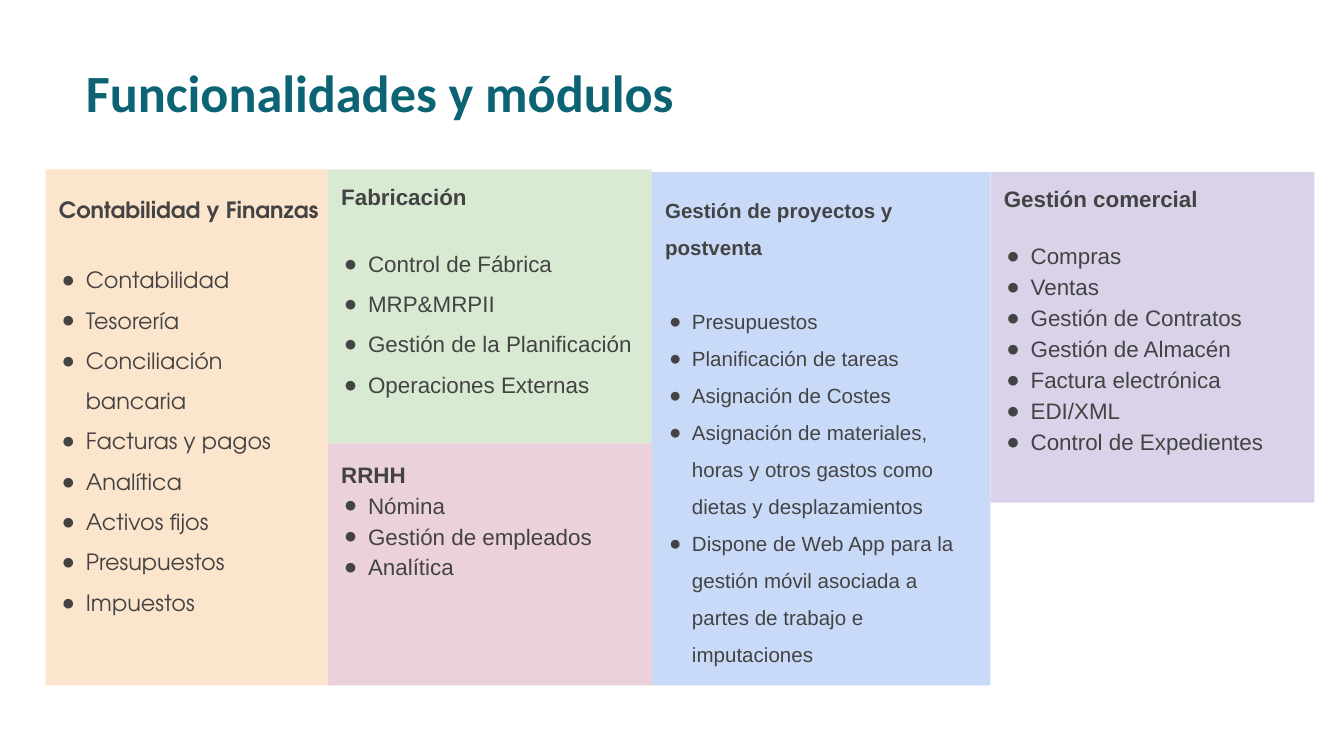
from lxml.etree import SubElement
from pptx import Presentation
from pptx.dml.color import RGBColor
from pptx.enum.shapes import MSO_SHAPE
from pptx.enum.text import MSO_ANCHOR, PP_ALIGN
from pptx.oxml.ns import qn
from pptx.util import Inches, Pt

WIDTH = 10
HEIGHT = WIDTH * 9 / 16
INSET = 0.1
INK = "434343"
COLUMNS = [0.34, 2.44, 4.85, 7.37, 9.78]
TOP, SPLIT, BOTTOM = 1.26, 3.3, 5.1
LOWER_TOP = TOP + 0.02

MODULES = [
    dict(box=(COLUMNS[0], TOP, COLUMNS[1] + 0.04, BOTTOM), fill="FCE5CD",
         heading="Contabilidad y Finanzas", font="TeX Gyre Adventor",
         heading_spacing=1.5, gap=16,
         items=["Contabilidad", "Tesorería", "Conciliación bancaria",
                "Facturas y pagos", "Analítica", "Activos fijos",
                "Presupuestos", "Impuestos"]),
    dict(box=(COLUMNS[1], TOP, COLUMNS[2], SPLIT), fill="D9EAD3",
         heading="Fabricación", gap=14.4,
         items=["Control de Fábrica", "MRP&MRPII",
                "Gestión de la Planificación", "Operaciones Externas"]),
    dict(box=(COLUMNS[2], LOWER_TOP, COLUMNS[3], BOTTOM), fill="C9DAF8",
         heading="Gestión de proyectos y postventa", size=11,
         heading_spacing=1.5, gap=19.8, hang=0.17,
         items=["Presupuestos", "Planificación de tareas",
                "Asignación de Costes",
                "Asignación de materiales, horas y otros gastos como dietas "
                "y desplazamientos",
                "Dispone de Web App para la gestión móvil asociada a partes "
                "de trabajo e imputaciones"]),
    dict(box=(COLUMNS[3], LOWER_TOP, COLUMNS[4], 3.74), fill="D9D2E9",
         heading="Gestión comercial", gap=14, item_spacing=1.15,
         items=["Compras", "Ventas", "Gestión de Contratos",
                "Gestión de Almacén", "Factura electrónica", "EDI/XML",
                "Control de Expedientes"]),
    dict(box=(COLUMNS[1], SPLIT, COLUMNS[2], BOTTOM), fill="EAD1DC",
         heading="RRHH", heading_spacing=1.15, item_spacing=1.15,
         items=["Nómina", "Gestión de empleados", "Analítica"]),
]


def color(value):
    return RGBColor.from_string(value)


def prepare_frame(frame):
    frame.word_wrap = True
    frame.vertical_anchor = MSO_ANCHOR.TOP
    frame.margin_left = frame.margin_right = Inches(INSET)
    frame.margin_top = frame.margin_bottom = Inches(INSET)


def write(para, text, font, size, ink, bold):
    para.text = text
    para.alignment = PP_ALIGN.LEFT
    para.font.name = font
    para.font.size = Pt(size)
    para.font.color.rgb = color(ink)
    para.font.bold = bold


def add_bullet(para, hang):
    properties = para._p.get_or_add_pPr()
    properties.set("marL", str(Inches(0.2)))
    properties.set("indent", str(-Inches(hang)))
    bullet_color = SubElement(properties, qn("a:buClr"))
    SubElement(bullet_color, qn("a:srgbClr"), val=INK)
    SubElement(properties, qn("a:buFont"), typeface="Arial")
    SubElement(properties, qn("a:buChar"), char="●")
    properties.append(properties.find(qn("a:defRPr")))


def add_title(page, left, top, width, height):
    box = page.shapes.add_textbox(Inches(left), Inches(top), Inches(width), Inches(height))
    prepare_frame(box.text_frame)
    para = box.text_frame.paragraphs[0]
    write(para, "Funcionalidades y módulos", "Calibri", 28, "0B6374", True)
    para._p.get_or_add_pPr().set("marL", str(Inches(0.27)))


def add_module(page, box, fill, heading, items, font="Arial", size=12,
               heading_spacing=1.0, item_spacing=1.5, gap=0, hang=0.18):
    left, top, right, bottom = box
    panel = page.shapes.add_shape(MSO_SHAPE.RECTANGLE, Inches(left), Inches(top),
                                  Inches(right - left), Inches(bottom - top))
    panel.shadow.inherit = False
    panel.fill.solid()
    panel.fill.fore_color.rgb = color(fill)
    panel.line.fill.background()
    frame = panel.text_frame
    prepare_frame(frame)
    para = frame.paragraphs[0]
    write(para, heading, font, size, INK, True)
    para.line_spacing = heading_spacing
    for index, item in enumerate(items):
        para = frame.add_paragraph()
        write(para, item, font, size, INK, False)
        para.line_spacing = item_spacing
        para.space_before = Pt(0 if index else gap)
        add_bullet(para, hang)


def main():
    deck = Presentation()
    deck.slide_width, deck.slide_height = Inches(WIDTH), Inches(HEIGHT)
    page = deck.slides.add_slide(deck.slide_layouts[6])
    add_title(page, 0.27, 0.35, 9.32, 0.63)
    for module in MODULES:
        add_module(page, **module)
    deck.save("out.pptx")


if __name__ == "__main__":
    main()
